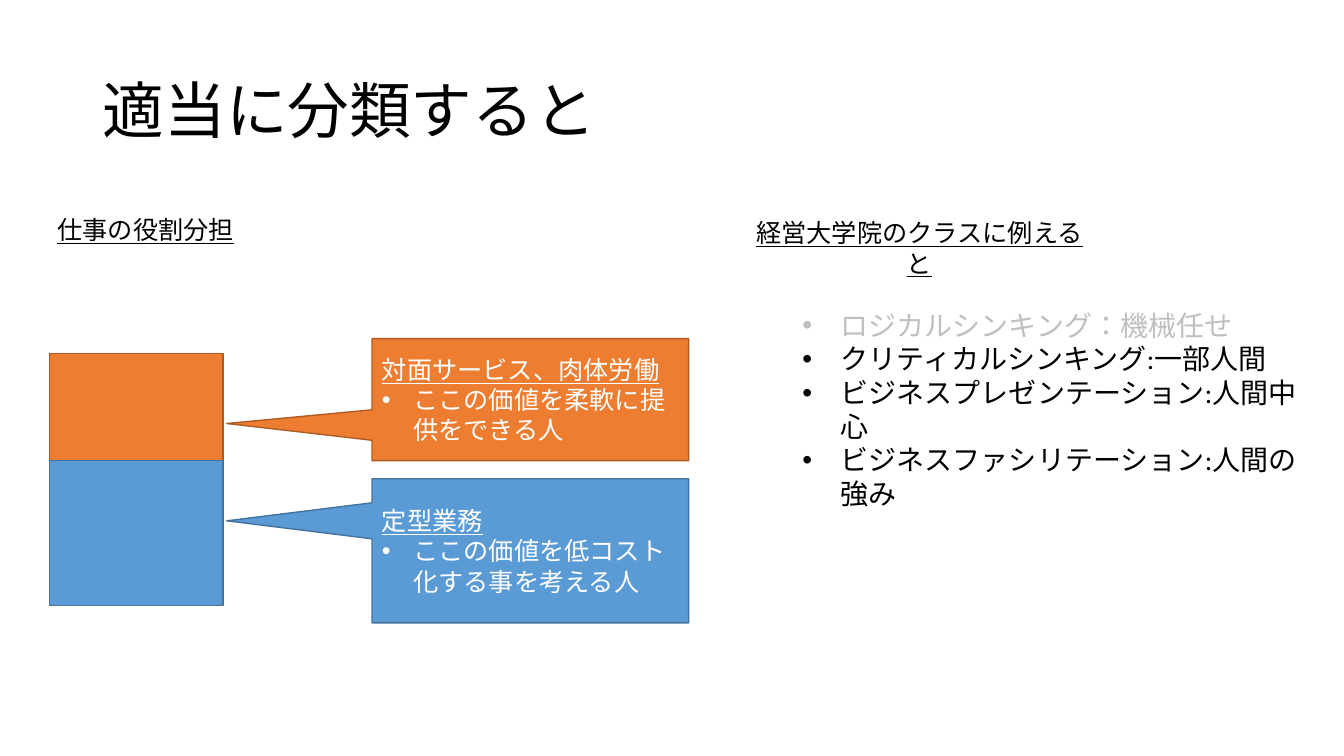
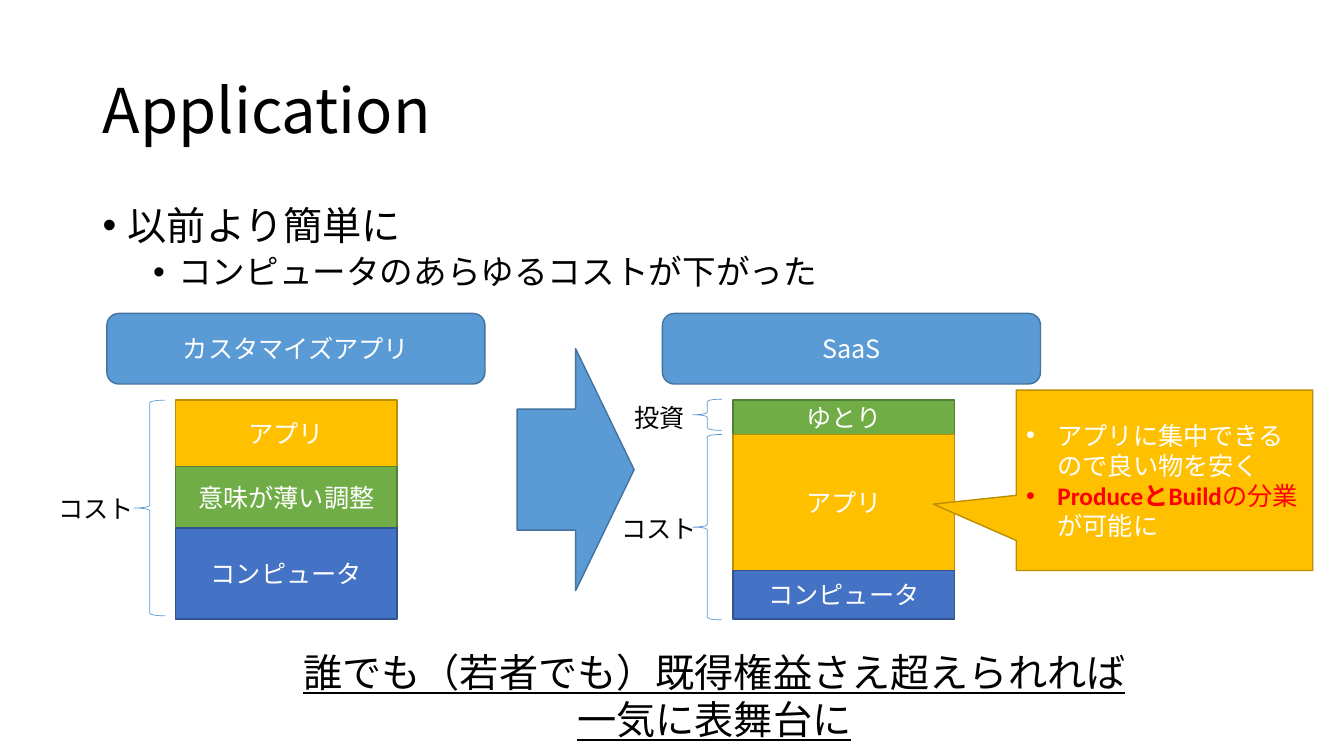
from dataclasses import dataclass

import pptx
import pptx.dml.color
import pptx.enum.shapes
import pptx.enum.text
import pptx.oxml.ns
import pptx.util
from lxml import etree

Inches = pptx.util.Inches
Kind = pptx.enum.shapes.MSO_SHAPE
Align = pptx.enum.text.PP_ALIGN
Anchor = pptx.enum.text.MSO_ANCHOR
AutoSize = pptx.enum.text.MSO_AUTO_SIZE
qn = pptx.oxml.ns.qn


@dataclass(frozen=True)
class Theme:
    latin: str = "Calibri"
    japanese: str = "Noto Sans CJK JP"
    black: str = "000000"
    white: str = "FFFFFF"
    muted: str = "BFBFBF"
    red: str = "FF0000"
    blue: tuple = ("5B9BD5", "43739E")
    orange: tuple = ("ED7D31", "AF5C24")
    gold: tuple = ("FFC000", "BD8E00")
    green: tuple = ("70AD47", "538035")
    indigo: tuple = ("4472C4", "325491")
    title_size: int = 44
    large_size: int = 28
    medium_size: int = 24
    list_size: int = 20
    text_size: int = 18


theme = Theme()


def write_text(shape, paragraphs, color=theme.black, size=theme.text_size, font=theme.latin,
               align=Align.CENTER, anchor=Anchor.TOP, auto_size=AutoSize.NONE):
    frame = shape.text_frame
    for name, value in {"word_wrap": True, "vertical_anchor": anchor, "auto_size": auto_size}.items():
        setattr(frame, name, value)
    for index, content in enumerate(paragraphs):
        paragraph = frame.paragraphs[0] if index == 0 else frame.add_paragraph()
        layout = {"alignment": content.get("align", align),
                  "line_spacing": content.get("line_spacing"),
                  "space_before": content.get("space_before")}
        if "bullet" in content:
            margin, hanging = content["bullet"]
            properties = paragraph._p.get_or_add_pPr()
            properties.set("marL", str(Inches(margin)))
            properties.set("indent", str(-Inches(hanging)))
            etree.SubElement(properties, qn("a:buFont")).set("typeface", "Arial")
            etree.SubElement(properties, qn("a:buChar")).set("char", "•")
        for name, value in layout.items():
            if value is not None:
                setattr(paragraph, name, value)
        for text, changes in content["runs"]:
            run = paragraph.add_run()
            run.text = text
            style = {"name": font, "size": size, "color": color, **changes}
            run.font.color.rgb = pptx.dml.color.RGBColor.from_string(style.pop("color"))
            style["size"] = pptx.util.Pt(style["size"])
            for name, value in style.items():
                setattr(run.font, name, value)
            run_properties = run._r.get_or_add_rPr()
            run_properties.set("lang", "ja-JP")
            etree.SubElement(run_properties, qn("a:ea")).set("typeface", theme.japanese)


def add_shape(slide, kind, bounds, colors, line_width=1, adjustments=()):
    shape = slide.shapes.add_shape(kind, *map(Inches, bounds))
    shape.shadow.inherit = False
    fill, line = colors
    if fill:
        shape.fill.solid()
        shape.fill.fore_color.rgb = pptx.dml.color.RGBColor.from_string(fill)
    else:
        shape.fill.background()
    shape.line.color.rgb = pptx.dml.color.RGBColor.from_string(line)
    shape.line.width = pptx.util.Pt(line_width)
    for index, value in enumerate(adjustments):
        shape.adjustments[index] = value
    return shape


presentation = pptx.Presentation()
presentation.slide_width = Inches(13.33)
presentation.slide_height = Inches(7.5)

slides = []
for title_text, title_font in [("適当に分類すると", theme.latin), ("Application", theme.japanese)]:
    slide = presentation.slides.add_slide(presentation.slide_layouts[5])
    title = slide.shapes.title
    title_box = {"left": 0.92, "top": 0.4, "width": 11.5, "height": 1.45}
    for name, value in title_box.items():
        setattr(title, name, Inches(value))
    write_text(title, [{"runs": [(title_text, {})], "line_spacing": 0.9}], size=theme.title_size,
               font=title_font, align=Align.LEFT, anchor=Anchor.MIDDLE)
    slides.append(slide)
roles_slide, application_slide = slides

class_list = roles_slide.shapes.add_textbox(*map(Inches, (7.86, 3.01, 5.14, 1.45)))
classes = [
    ("ロジカルシンキング：機械任せ", theme.muted),
    ("クリティカルシンキング:一部人間", theme.black),
    ("ビジネスプレゼンテーション:人間中心", theme.black),
    ("ビジネスファシリテーション:人間の強み", theme.black),
]
write_text(class_list,
           [{"runs": [(text, {"color": color})], "bullet": (0.38, 0.38)} for text, color in classes],
           size=theme.list_size, align=Align.LEFT, auto_size=AutoSize.SHAPE_TO_FIT_TEXT)

underlined = {"underline": True}
labels = [
    (roles_slide, (0.15, 2.08, 2.59, 0.4), ["仕事の役割分担"], underlined),
    (roles_slide, (7.3, 2.11, 3.64, 0.4), ["経営大学院のクラスに例えると"], underlined),
    (application_slide, (1.64, 6.38, 10.89, 1.04),
     ["誰でも（若者でも）既得権益さえ超えられれば", "一気に表舞台に"],
     {"underline": True, "size": theme.large_size}),
    (application_slide, (0.48, 4.84, 0.95, 0.4), ["コスト"], {}),
    (application_slide, (6.06, 5.04, 0.95, 0.4), ["コスト"], {}),
    (application_slide, (6.07, 3.94, 0.95, 0.4), ["投資"], {}),
]
for slide, bounds, lines, style in labels:
    label = slide.shapes.add_textbox(*map(Inches, bounds))
    write_text(label, [{"runs": [(line, style)]} for line in lines],
               auto_size=AutoSize.SHAPE_TO_FIT_TEXT)

outline = application_slide.shapes.add_textbox(*map(Inches, (0.92, 2, 11.5, 1.05)))
write_text(outline, [
    {"runs": [("以前より簡単に", {"size": theme.large_size})],
     "bullet": (0.25, 0.25), "line_spacing": 0.9},
    {"runs": [("コンピュータのあらゆるコストが下がった", {"size": theme.medium_size})],
     "bullet": (0.75, 0.25), "line_spacing": 0.9, "space_before": pptx.util.Pt(5)},
], font=theme.japanese, align=Align.LEFT)

for left, text in [(1.06, "カスタマイズアプリ"), (6.57, "SaaS")]:
    heading = add_shape(application_slide, Kind.ROUNDED_RECTANGLE, (left, 3.11, 3.75, 0.7), theme.blue)
    write_text(heading, [{"runs": [(text, {})]}], color=theme.white, font=theme.japanese,
               anchor=Anchor.MIDDLE)

add_shape(application_slide, Kind.RIGHT_ARROW, (5.13, 3.46, 1.16, 2.4), theme.blue)

stacks = [
    (roles_slide, 0.49, 3.51, 1.72, [("", 1.06, theme.orange), ("", 1.44, theme.blue)]),
    (application_slide, 1.74, 3.97, 2.2,
     [("アプリ", 0.66, theme.gold), ("意味が薄い調整", 0.61, theme.green),
      ("コンピュータ", 0.9, theme.indigo)]),
    (application_slide, 7.27, 3.97, 2.2,
     [("ゆとり", 0.34, theme.green), ("アプリ", 1.35, theme.gold),
      ("コンピュータ", 0.48, theme.indigo)]),
]
for slide, left, top, width, layers in stacks:
    for text, height, colors in layers:
        layer = add_shape(slide, Kind.RECTANGLE, (left, top, width, height), colors)
        if text:
            write_text(layer, [{"runs": [(text, {})]}], color=theme.white, anchor=Anchor.MIDDLE)
        top += height

for bounds in [(1.33, 3.97, 0.31, 2.14), (6.87, 4.31, 0.29, 1.84), (6.87, 3.96, 0.29, 0.31)]:
    add_shape(application_slide, Kind.LEFT_BRACE, bounds, (None, theme.blue[0]), line_width=0.5)

callout_bullet = (0.31, 0.31)
callouts = [
    (roles_slide, (3.69, 3.36, 3.14, 1.21), (-0.959, 0.196), theme.orange,
     [{"runs": [("対面サービス、肉体労働", underlined)]},
      {"runs": [("ここの価値を柔軟に提供をできる人", {})], "bullet": callout_bullet}]),
    (roles_slide, (3.69, 4.75, 3.14, 1.43), (-0.959, -0.208), theme.blue,
     [{"runs": [("定型業務", underlined)]},
      {"runs": [("ここの価値を低コスト化する事を考える人", {})], "bullet": callout_bullet}]),
    (application_slide, (10.08, 3.87, 2.94, 1.79), (-0.78, 0.132), theme.gold,
     [{"runs": [("アプリに集中できるので良い物を安く", {})], "bullet": callout_bullet},
      {"runs": [("ProduceとBuild", {"color": theme.red, "bold": True}),
                ("の分業", {"color": theme.red}), ("が可能に", {})], "bullet": callout_bullet}]),
]
for slide, bounds, pointer, colors, paragraphs in callouts:
    callout = add_shape(slide, Kind.RECTANGULAR_CALLOUT, bounds, colors, adjustments=pointer)
    write_text(callout, paragraphs, color=theme.white, align=Align.LEFT, anchor=Anchor.MIDDLE)

presentation.save("out.pptx")
